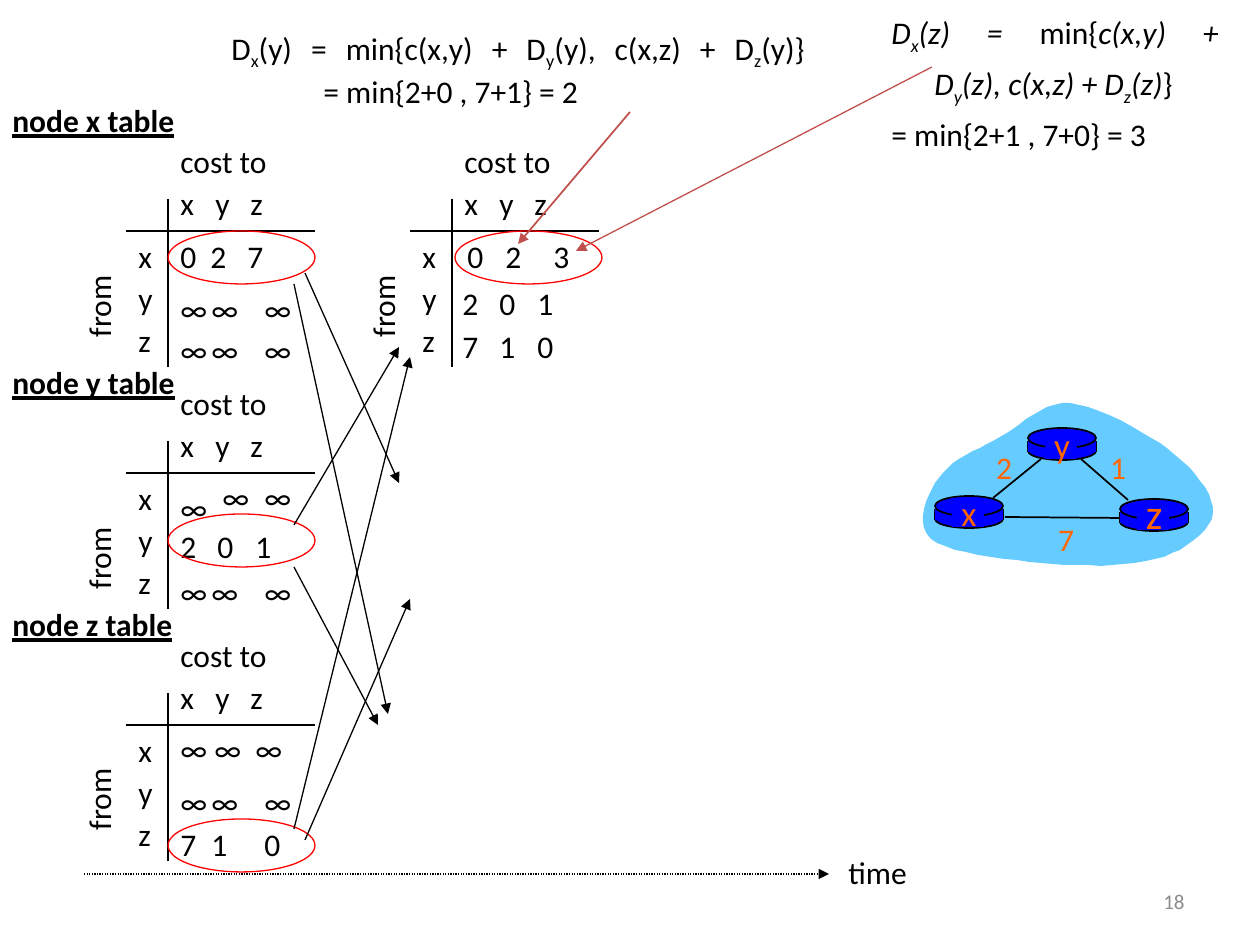
from lxml import etree
from pptx import Presentation
from pptx import util as u
from pptx.dml.color import RGBColor
from pptx.enum import dml, shapes, text
from pptx.oxml.ns import qn

SCALE = 914400 / 126  # EMU per px
COLORS = {
    "black": "000000", "red": "FF0000", "brick": "C0504D", "gray": "8C8C8C",
    "cloud": "66CCFF", "router": "0000FF", "label": "FF6600",
}
LEFT, CENTER = text.PP_ALIGN.LEFT, text.PP_ALIGN.CENTER
TOP, MIDDLE = text.MSO_ANCHOR.TOP, text.MSO_ANCHOR.MIDDLE
OVAL, RECT = shapes.MSO_SHAPE.OVAL, shapes.MSO_SHAPE.RECTANGLE
HEADER_TABS, MATRIX_TABS = (35, 70), (37, 75)
COLUMNS = (168, 199, 252)
CLOUD_START = (939, 478)
CLOUD_CURVES = [
    ((950, 460), (979, 449), (1000, 437)),
    ((1022, 425), (1042, 401), (1070, 403)),
    ((1097, 406), (1144, 431), (1168, 449)),
    ((1192, 467), (1215, 494), (1213, 513)),
    ((1211, 532), (1184, 552), (1155, 559)),
    ((1126, 568), (1077, 566), (1041, 563)),
    ((1003, 559), (948, 553), (931, 539)),
    ((914, 524), (927, 494), CLOUD_START),
]


def px(length):
    return u.Emu(round(length * SCALE))


def rgb(name):
    return RGBColor.from_string(COLORS[name])


def add_runs(paragraph, content, italic, style):
    """Add runs; an underscore makes the next letter a subscript."""
    for number, line in enumerate(content.split("\n")):
        if number:
            paragraph.add_line_break()
        first, *rest = line.split("_")
        pieces = [(first, False)]
        for part in rest:
            pieces += [(part[0], True), (part[1:], False)]
        for piece, subscript in pieces:
            if not piece:
                continue
            run = paragraph.add_run()
            run.text = piece
            font = run.font
            font.name, font.size = "Calibri", u.Pt(style["size"])
            font.color.rgb = rgb(style["color"])
            font.bold = font.underline = style["heading"]
            font.italic = italic
            if subscript:
                run._r.get_or_add_rPr().set("baseline", "-25000")


def add_text(slide, box, paragraphs, size=18, color="black", heading=False, align=LEFT,
             anchor=TOP, wrap=False, rotation=0, tabs=(), hanging=0, spacing=None):
    """Each paragraph is a string or a list of (string, italic) pairs."""
    shape = slide.shapes.add_textbox(*map(px, box))
    shape.rotation = rotation
    frame = shape.text_frame
    frame.word_wrap = wrap or bool(tabs)
    frame.vertical_anchor = anchor
    style = {"size": size, "color": color, "heading": heading}
    if isinstance(paragraphs, str):
        paragraphs = [paragraphs]
    for number, content in enumerate(paragraphs):
        paragraph = frame.add_paragraph() if number else frame.paragraphs[0]
        paragraph.alignment = align
        if spacing:
            paragraph.line_spacing = spacing
        properties = paragraph._p.get_or_add_pPr()
        if hanging and number == 0:
            properties.set("marL", str(px(hanging)))
            properties.set("indent", str(-px(hanging)))
        if tabs:
            stops = etree.SubElement(properties, qn("a:tabLst"))
            for stop in tabs:
                etree.SubElement(stops, qn("a:tab"), pos=str(px(stop)), algn="l")
        runs = [(content, False)] if isinstance(content, str) else content
        for string, italic in runs:
            add_runs(paragraph, string, italic, style)


def add_line(slide, start, end, color="black", width=0.75, arrow=False, dash=None):
    connector = slide.shapes.add_connector(
        shapes.MSO_CONNECTOR.STRAIGHT, *map(px, start + end))
    connector.line.color.rgb = rgb(color)
    connector.line.width = u.Pt(width)
    if dash:
        connector.line.dash_style = dash
    properties = connector._element.spPr
    if arrow:
        etree.SubElement(properties.find(qn("a:ln")), qn("a:tailEnd"), type="triangle")
    etree.SubElement(properties, qn("a:effectLst"))


def paint(shape, fill=None, line=None, width=1):
    shape.shadow.inherit = False
    if fill:
        shape.fill.solid()
        shape.fill.fore_color.rgb = rgb(fill)
    else:
        shape.fill.background()
    if line:
        shape.line.color.rgb = rgb(line)
        shape.line.width = u.Pt(width)
    else:
        shape.line.fill.background()


def add_shape(slide, kind, box, **style):
    paint(slide.shapes.add_shape(kind, *map(px, box)), **style)


def add_cost_grid(slide, left, top, from_top):
    axis = left + 42
    add_line(slide, (axis, top + 63), (axis, top + 231))
    add_line(slide, (left, top + 95), (left + 189, top + 95))
    add_text(slide, (axis, top, 130, 50), "cost to")
    add_text(slide, (axis, top + 42, 134, 50), "x\ty\tz", tabs=HEADER_TABS)
    for row, name in enumerate("xyz"):
        add_text(slide, (left, top + 95 + 42 * row, 43, 50), name)
    add_text(slide, (left - 76, from_top, 97, 50), "from", rotation=270)


def add_values(slide, top, values, columns=COLUMNS):
    for left, value in zip(columns, values):
        add_text(slide, (left, top, 52 if value == "∞" else 44, 50), value)


def add_router(slide, left, top, name, size, label_rise, label_height):
    body = {"fill": "router", "line": "black"}
    add_shape(slide, OVAL, (left, top + 14, 68, 18), **body)
    for side in (left, left + 68):
        add_line(slide, (side, top + 13), (side, top + 24), width=1)
    add_shape(slide, RECT, (left, top + 13, 68, 11), fill="router")
    add_shape(slide, OVAL, (left, top, 68, 20), **body)
    add_shape(slide, RECT, (left + 17, top + 2, 32, 29), fill="router")
    add_text(slide, (left + 13, top - label_rise, 42, label_height), name,
             size=size, color="label", align=CENTER)


def add_cloud(slide, steps=10):
    """Trace the cubic curves of the cloud with short segments."""
    points, start = [], CLOUD_START
    for curve in CLOUD_CURVES:
        for step in range(1, steps + 1):
            t = step / steps
            weights = ((1 - t) ** 3, 3 * t * (1 - t) ** 2, 3 * t * t * (1 - t), t ** 3)
            points.append(tuple(sum(w * p[axis] for w, p in zip(weights, (start, *curve)))
                                for axis in (0, 1)))
        start = curve[-1]
    builder = slide.shapes.build_freeform(*CLOUD_START, scale=SCALE)
    builder.add_line_segments(points, close=True)
    paint(builder.convert_to_shape(), fill="cloud")


def add_network(slide):
    add_cloud(slide)
    for start, end in [((993, 498), (1041, 459)), ((1081, 459), (1128, 500)),
                       ((1005, 517), (1123, 518))]:
        add_line(slide, start, end, width=1)
    add_router(slide, 935, 496, "x", 20, 11, 55)
    add_router(slide, 1120, 499, "z", 24, 18, 64)
    add_router(slide, 1028, 428, "y", 20, 11, 55)
    for cost, left, top in [("1", 1097, 442), ("2", 983, 442), ("7", 1045, 514)]:
        add_text(slide, (left, top, 42, 50), cost, color="label", align=CENTER)


def add_tables(slide):
    for left, top, from_top in [(126, 136, 276), (410, 136, 276),
                                (126, 378, 528), (126, 630, 769)]:
        add_cost_grid(slide, left, top, from_top)
    for left, top, row, tabs in [(168, 231, "0\t2\t7", (30, 67)),
                                 (168, 724, "∞\t∞\t∞", (34, 75)),
                                 (450, 278, "2\t0\t1", MATRIX_TABS),
                                 (450, 321, "7\t1\t0", MATRIX_TABS)]:
        add_text(slide, (left, top, 136, 50), row, tabs=tabs)
    add_text(slide, (168, 483, 136, 88), ["∞", "2\t0\t1"], tabs=MATRIX_TABS)
    for top in (284, 325, 567, 777):
        add_values(slide, top, "∞∞∞")
    add_values(slide, 472, "∞∞", (210, 252))
    add_values(slide, 819, "710")
    add_values(slide, 231, "023", (455, 493, 541))
    for name, top in [("x", 95), ("y", 357), ("z", 599)]:
        add_text(slide, (0, top, 217, 50), f"node {name} table", heading=True)
    for left, top in [(168, 231), (168, 514), (168, 819), (455, 231)]:
        add_shape(slide, OVAL, (left, top, 147, 53), line="red", width=0.75)


def add_formulas(slide):
    justify = text.PP_ALIGN.JUSTIFY
    add_text(slide, (219, 25, 598, 88),
             ["D_x(y) = min{c(x,y) + D_y(y), c(x,z) + D_z(y)}\n= min{2+0 , 7+1} = 2"],
             align=justify, anchor=MIDDLE, wrap=True, hanging=92)
    add_text(slide, (879, 4, 352, 149),
             [[("D_x(z) = ", True), ("min{", False),
               ("c(x,y) +\nD_y(z), c(x,z) + D_z(z)", True), ("}", False)],
              "= min{2+1 , 7+0} = 3"],
             align=justify, anchor=MIDDLE, wrap=True, hanging=43, spacing=1.2)
    add_line(slide, (630, 112), (518, 244), color="brick", width=1, arrow=True)
    add_line(slide, (932, 67), (576, 251), color="brick", arrow=True)


def main():
    presentation = Presentation()
    presentation.slide_width, presentation.slide_height = px(1260), px(945)
    slide = presentation.slides.add_slide(presentation.slide_layouts[6])
    add_tables(slide)
    for start, end in [((305, 273), (399, 483)), ((294, 284), (388, 714)),
                       ((294, 525), (399, 347)), ((294, 567), (378, 725)),
                       ((294, 829), (410, 357)), ((305, 840), (410, 599))]:
        add_line(slide, start, end, arrow=True)
    add_line(slide, (84, 874), (829, 874), arrow=True, dash=dml.MSO_LINE.ROUND_DOT)
    add_text(slide, (836, 847, 91, 50), "time")
    add_network(slide)
    add_formulas(slide)
    add_text(slide, (903, 876, 294, 50), "18", size=12, color="gray",
             align=text.PP_ALIGN.RIGHT, anchor=MIDDLE, wrap=True)
    presentation.save("out.pptx")


if __name__ == "__main__":
    main()
